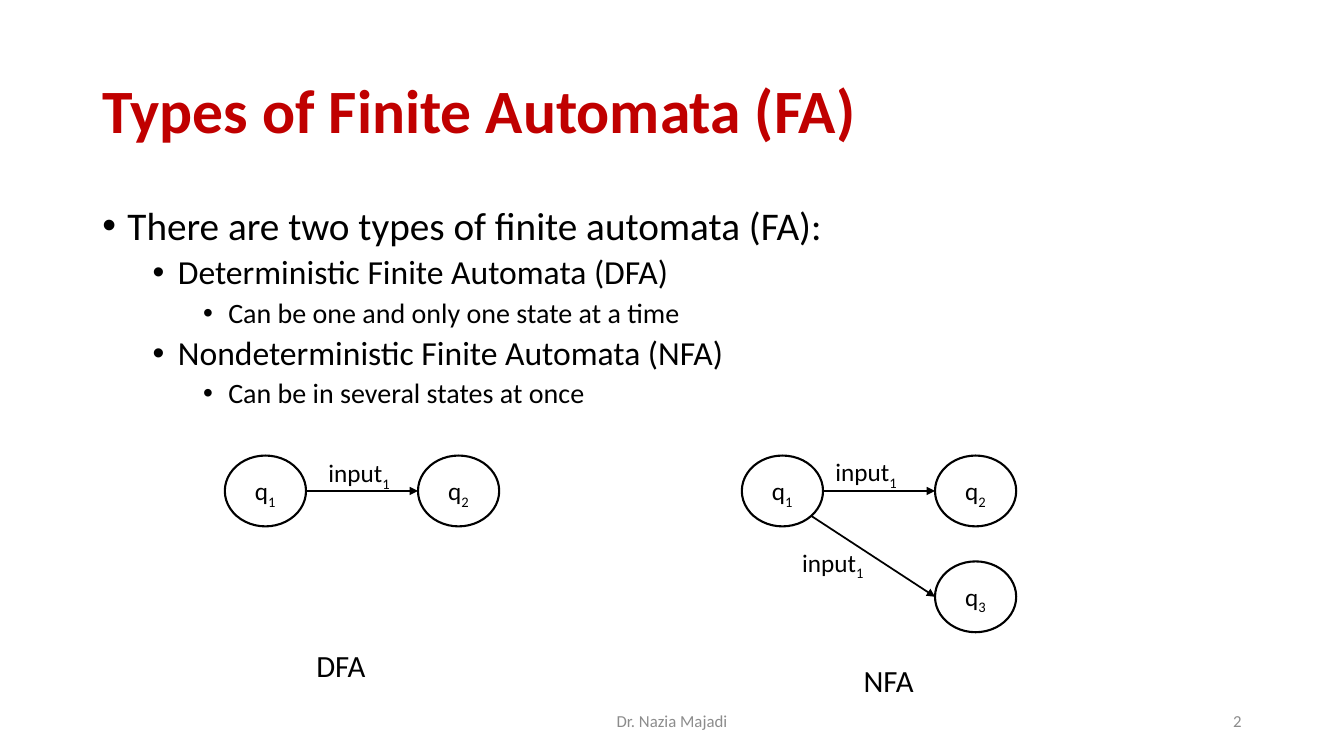
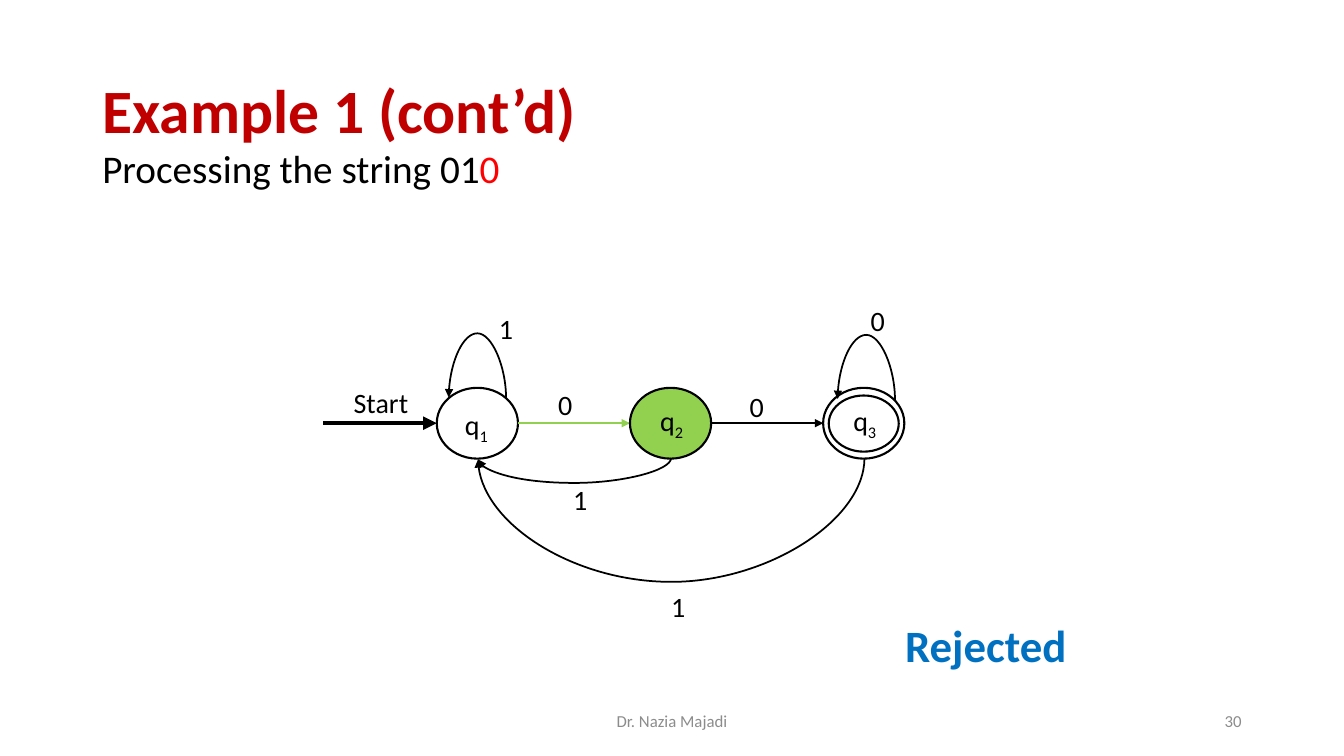
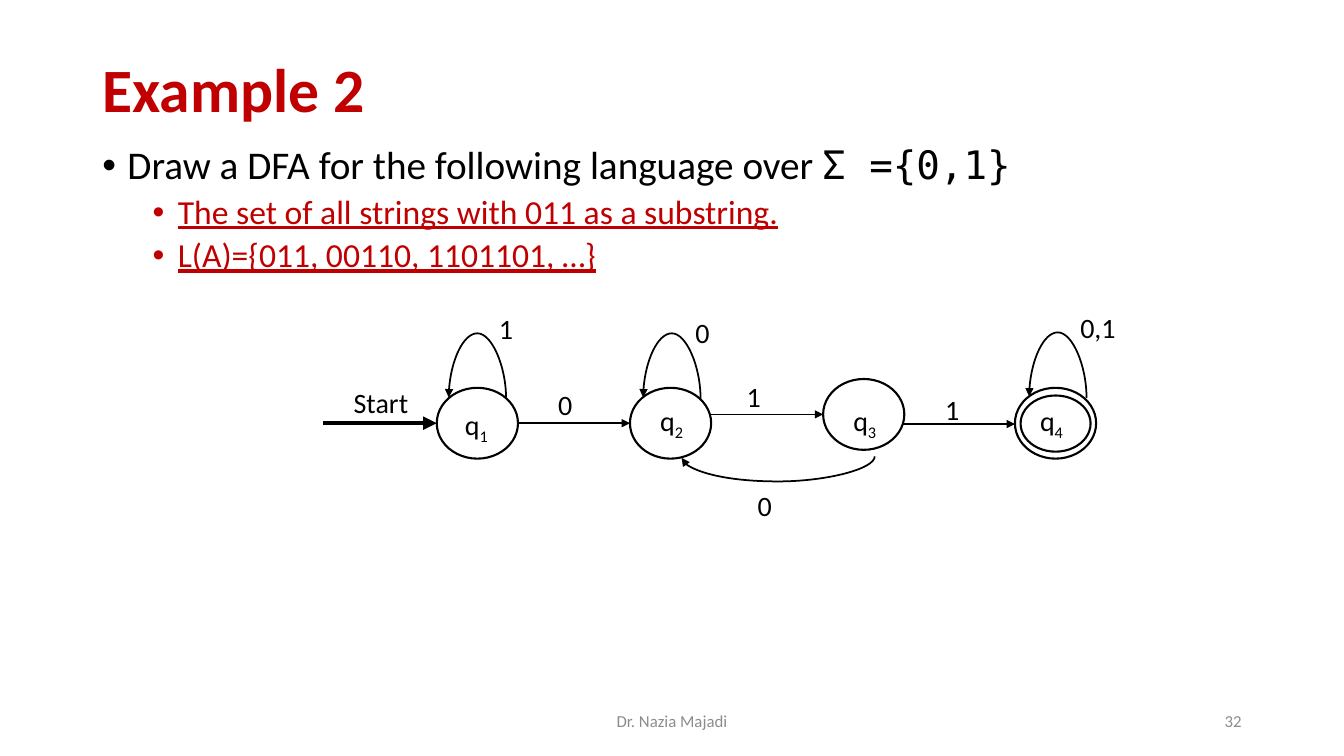
import lxml.etree
import pptx
import pptx.dml.color
import pptx.enum.shapes
import pptx.enum.text
import pptx.oxml.ns
import pptx.util

Pt = pptx.util.Pt
RGB = pptx.dml.color.RGBColor
ALIGN = pptx.enum.text.PP_ALIGN
ANCHOR = pptx.enum.text.MSO_ANCHOR
LINK = pptx.enum.shapes.MSO_CONNECTOR
OVAL = pptx.enum.shapes.MSO_SHAPE.OVAL
qn = pptx.oxml.ns.qn

BLACK = RGB(0x00, 0x00, 0x00)
CRIMSON = RGB(0xC0, 0x00, 0x00)
RED = RGB(0xFF, 0x00, 0x00)
GREEN = RGB(0x92, 0xD0, 0x50)
BLUE = RGB(0x00, 0x70, 0xC0)
GREY = RGB(0x8C, 0x8C, 0x8C)
FACE = "Calibri"
MONO = "DejaVu Sans Mono"

# Shared grid, in points
LEFT, WIDTH = 66, 828
WIDE, HIGH = 58, 50.6        # one state
PITCH = 138                  # from state to state
ROW = 277                    # top of the state row
MID = ROW + HIGH / 2
COLS = [312 + PITCH * i for i in range(4)]
LOOP = dict(span=41, depth=47.17, up=True)


# Text
def write(par, text, size=18, color=BLACK, bold=False, under=False,
          sub=False, face=FACE):
    run = par.add_run()
    run.text = text
    font = run.font
    font.size, font.name, font.bold, font.underline = Pt(size), face, bold, under
    font.color.rgb = color
    if sub:
        run._r.get_or_add_rPr().set("baseline", "-25000")


def frame(slide, x, y, w, h, anchor=ANCHOR.TOP):
    area = slide.shapes.add_textbox(Pt(x), Pt(y), Pt(w), Pt(h)).text_frame
    area.word_wrap = True
    area.vertical_anchor = anchor
    return area


def label(slide, text, x, y, sub="", w=72, h=32, size=20, **style):
    par = frame(slide, x, y, w, h).paragraphs[0]
    write(par, text, size=size, **style)
    if sub:
        write(par, sub, size=size, sub=True, **style)


def item(area, level, *runs):
    """Add a bulleted paragraph; runs are (text, format) pairs."""
    first = not area.paragraphs[0].runs
    par = area.paragraphs[0] if first else area.add_paragraph()
    par.line_spacing = 0.9
    if not first:
        par.space_before = Pt(5)
    props = par._p.get_or_add_pPr()
    props.set("marL", str(Pt(18 + 36 * level)))
    props.set("indent", str(-Pt(18)))
    lxml.etree.SubElement(props, qn("a:buFont")).set("typeface", "Arial")
    lxml.etree.SubElement(props, qn("a:buChar")).set("char", "•")
    for text, style in runs:
        write(par, text, **{"size": 28 - 4 * level, **style})


# Page with title and footer
def page(deck, title, number, top=28.8):
    slide = deck.slides.add_slide(deck.slide_layouts[6])
    par = frame(slide, LEFT, top, WIDTH, 104.4, ANCHOR.MIDDLE).paragraphs[0]
    par.line_spacing = 0.9
    write(par, title, size=44, color=CRIMSON, bold=True)
    for text, x, w, align in (("Dr. Nazia Majadi", 318, 324, ALIGN.CENTER),
                              (number, 678, 216, ALIGN.RIGHT)):
        par = frame(slide, x, 500.4, w, 28.8, ANCHOR.MIDDLE).paragraphs[0]
        par.alignment = align
        write(par, text, size=12, color=GREY)
    return slide


# Parts of an automaton
def ring(slide, x, y, w, h, fill=None):
    oval = slide.shapes.add_shape(OVAL, Pt(x), Pt(y), Pt(w), Pt(h))
    oval.shadow.inherit = False
    oval.line.color.rgb = BLACK
    oval.line.width = Pt(1.5)
    if fill is None:
        oval.fill.background()
    else:
        oval.fill.solid()
        oval.fill.fore_color.rgb = fill


def state(slide, digit, x, y=ROW, dx=14.4, dy=8, size=20, fill=None, final=False):
    ring(slide, x, y, WIDE, HIGH, fill)
    if final:
        ring(slide, x + 4, y + 5.5, WIDE - 8, HIGH - 10.5)
    label(slide, "q", x + dx, y + dy, sub=digit, w=40, size=size)


def arrow(slide, x1, y1, x2, y2, color=BLACK, width=1.25, kind=LINK.STRAIGHT):
    line = slide.shapes.add_connector(kind, Pt(x1), Pt(y1), Pt(x2), Pt(y2))
    line.line.color.rgb = color
    line.line.width = Pt(width)
    lxml.etree.SubElement(line.line._get_or_add_ln(), qn("a:tailEnd")).set("type", "triangle")
    lxml.etree.SubElement(line._element.spPr, qn("a:effectLst"))
    return line


def hop(slide, x, y=MID, color=BLACK):
    """Arrow from the state at x to the next one."""
    arrow(slide, x + WIDE, y, x + PITCH, y, color)


def arc(slide, x, y, span, depth, up=False):
    """Arrow from right to left about x: a curve one point wide, turned."""
    line = arrow(slide, x - 0.5, y - span / 2, x + 0.5, y + span / 2, kind=LINK.CURVE)
    props = line._element.spPr
    turn = props.find(qn("a:xfrm"))
    turn.set("rot", str((270 if up else 90) * 60000))
    if up:
        turn.set("flipV", "1")
    shape = props.find(qn("a:prstGeom"))
    bend = shape.find(qn("a:avLst"))
    if bend is None:
        bend = lxml.etree.SubElement(shape, qn("a:avLst"))
    guide = lxml.etree.SubElement(bend, qn("a:gd"))
    guide.set("name", "adj1")
    guide.set("fmla", f"val {round(depth * 100000)}")


def start(slide, color=BLACK):
    """Entry arrow, first state, its loop and the step to the second."""
    x = COLS[0]
    arrow(slide, x - 81, MID, x, MID, width=3.25)
    label(slide, "Start", 245.5, 271.8)
    state(slide, "1", x, dx=13, dy=10.3)
    arc(slide, x + 29, 284.4, **LOOP)
    label(slide, "1", 349.2, 218.9)
    hop(slide, x, color=color)
    label(slide, "0", 391.6, 272.9)


# Slides
def types(deck):
    slide = page(deck, "Types of Finite Automata (FA)", "2")
    area = frame(slide, LEFT, 144, WIDTH, 170.6)
    for level, text in (
            (0, "There are two types of finite automata (FA):"),
            (1, "Deterministic Finite Automata (DFA)"),
            (2, "Can be one and only one state at a time"),
            (1, "Nondeterministic Finite Automata (NFA)"),
            (2, "Can be in several states at once")):
        item(area, level, (text, {}))

    top, low = 325.4, 401
    for x in (160.6, 529.9):
        for i, digit in enumerate("12"):
            state(slide, digit, x + PITCH * i, top, dy=10.8, size=18)
        hop(slide, x, top + HIGH / 2)
    state(slide, "3", 529.9 + PITCH, low, dy=10.8, size=18)
    arrow(slide, 579.6, 368.6, 529.9 + PITCH, low + HIGH / 2)
    for x, y in ((227.5, 323.3), (589.7, 322.6), (565.9, 387.4)):
        label(slide, "input", x, y, sub="1", size=18)
    label(slide, "DFA", 218.9, 458.6, size=22)
    label(slide, "NFA", 609.8, 469.4, size=22)


def string(deck):
    slide = page(deck, "Example 1 (cont’d)", "30")
    par = frame(slide, LEFT, 103, WIDTH, 50).paragraphs[0]
    par.line_spacing = 0.9
    write(par, "Processing the string 01", size=28)
    write(par, "0", size=28, color=RED)

    start(slide, GREEN)
    state(slide, "2", COLS[1], fill=GREEN)
    state(slide, "3", COLS[2], final=True)
    hop(slide, COLS[1])
    arc(slide, 618.8, 285.5, **LOOP)
    arc(slide, 410.4, 327.6, PITCH, 18)
    arc(slide, 479.5, 327.6, 2 * PITCH, 89.25)
    for text, x, y in (("0", 528.4, 275), ("0", 614.8, 213.1),
                       ("1", 402.4, 341.3), ("1", 472.3, 417.6)):
        label(slide, text, x, y)
    label(slide, "Rejected", 639.4, 437.8, w=152, h=46, size=32, color=BLUE, bold=True)


def subset(deck):
    slide = page(deck, "Example 2", "32", top=13.7)
    area = frame(slide, LEFT, 100.8, WIDTH, 110)
    item(area, 0, ("Draw a DFA for the following language over ", {}),
         ("Σ ={0,1}", dict(face=MONO)))
    for text in ("The set of all strings with 011 as a substring.",
                 "L(A)={011, 00110, 1101101, …}"):
        item(area, 1, (text, dict(color=CRIMSON, under=True)))

    start(slide)
    lift = 6.3
    state(slide, "2", COLS[1])
    state(slide, "3", COLS[2], ROW - lift, dy=8 + lift)
    state(slide, "4", COLS[3] - 1, dx=10.8, dy=7.4, final=True)
    hop(slide, COLS[1], MID - lift)
    hop(slide, COLS[2] - 1, MID + 0.6)
    arc(slide, 479.9, 284.4, **LOOP)
    arc(slide, 755.6, 283.7, **LOOP)
    arc(slide, 555.8, 326.5, PITCH, 18)
    for text, x, y in (("1", 526.3, 267.8), ("0", 534.2, 345.6), ("1", 668.1, 276.5),
                       ("0", 489.6, 221.8), ("0,1", 764.6, 218.2)):
        label(slide, text, x, y)


def main():
    deck = pptx.Presentation()
    deck.slide_width, deck.slide_height = Pt(960), Pt(540)
    types(deck)
    string(deck)
    subset(deck)
    deck.save("out.pptx")


if __name__ == "__main__":
    main()
